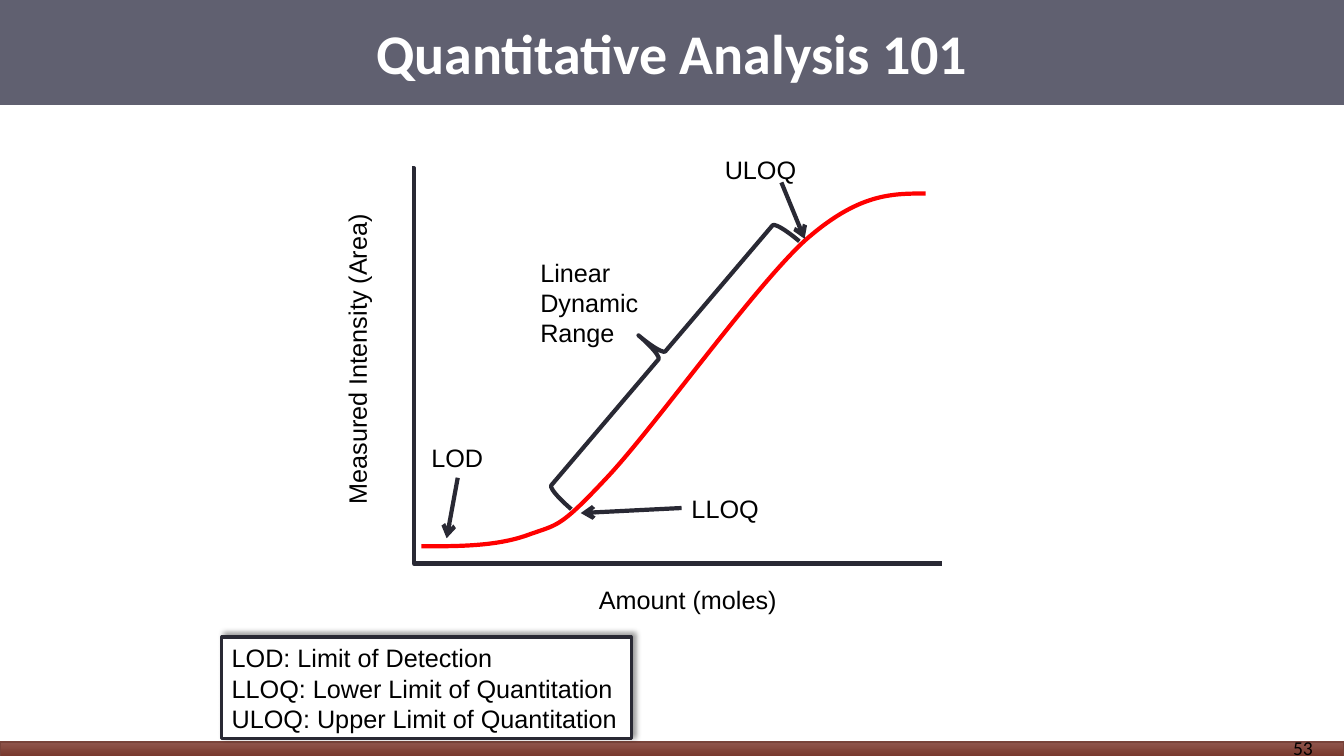
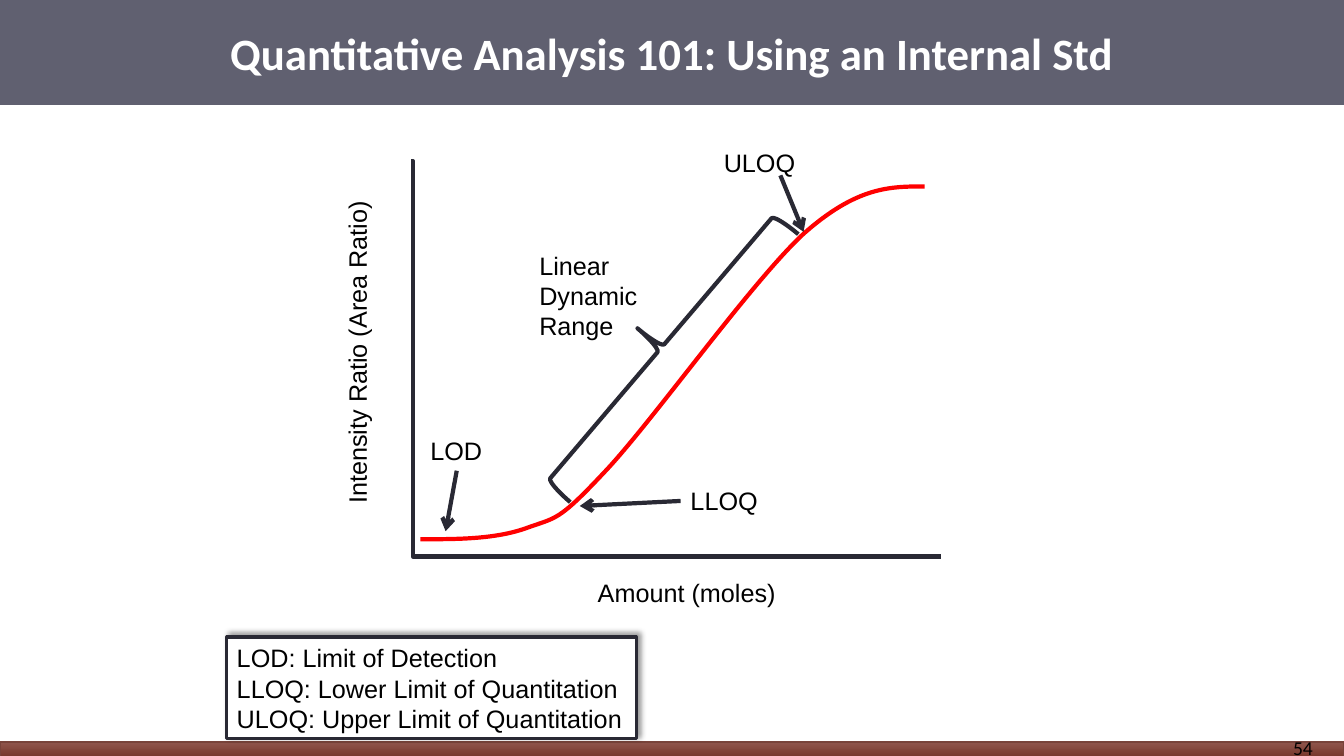
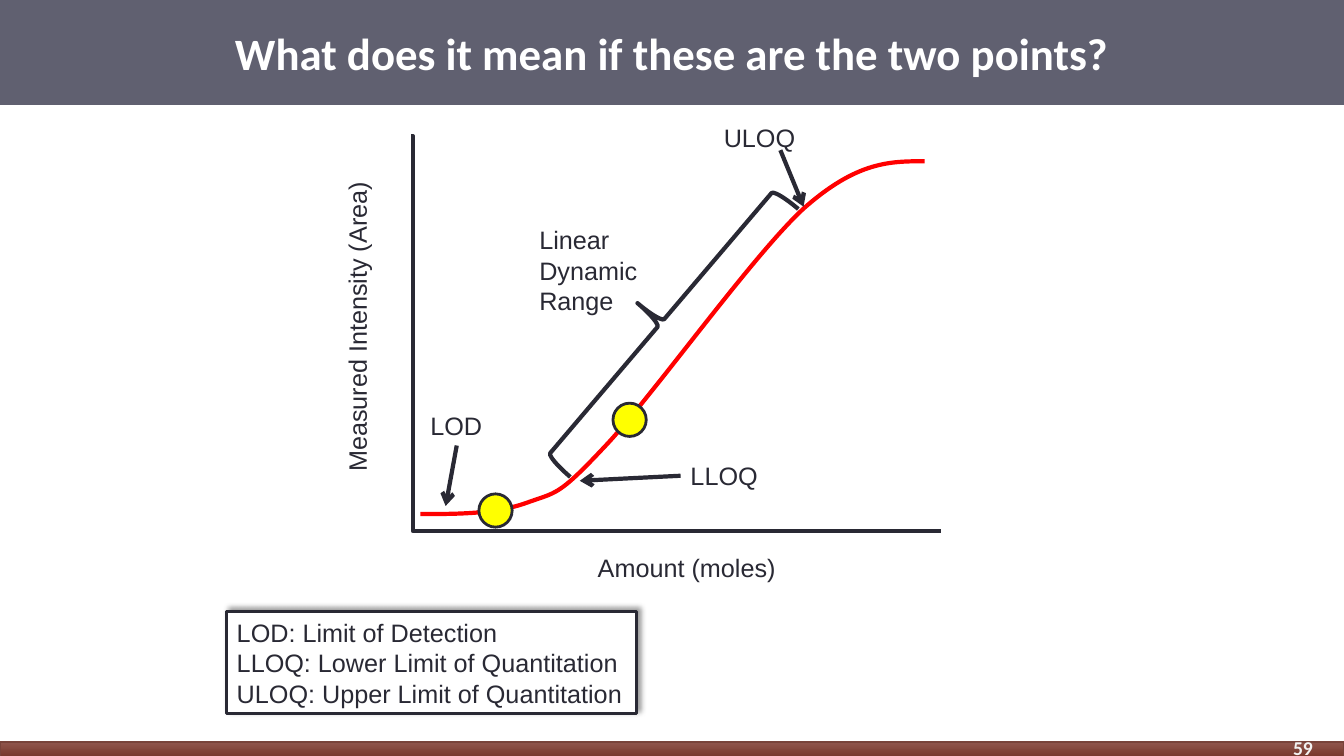
from lxml.etree import SubElement
from pptx import Presentation
from pptx.dml.color import RGBColor
from pptx.enum.shapes import MSO_CONNECTOR, MSO_SHAPE
from pptx.enum.text import MSO_ANCHOR, MSO_AUTO_SIZE, PP_ALIGN
from pptx.oxml.ns import qn
from pptx.util import Inches, Pt

rgb = RGBColor.from_string
WHITE, BLACK, INK, RED, YELLOW = "FFFFFF", "000000", "292934", "FF0000", "FFFF00"


def style(sp, fill, line, width):
    if fill:
        sp.fill.solid()
        sp.fill.fore_color.rgb = rgb(fill)
    else:
        sp.fill.background()
    if line:
        sp.line.color.rgb = rgb(line)
        sp.line.width = Pt(width)
    else:
        sp.line.fill.background()
    sp.shadow.inherit = False


def write(tf, lines, size, color, font="Arial", bold=False, align=PP_ALIGN.LEFT):
    for i, line in enumerate(lines):
        p = tf.paragraphs[0] if i == 0 else tf.add_paragraph()
        p.text = line
        p.alignment = align
        p.font.size = Pt(size)
        p.font.name = font
        p.font.bold = bold
        p.font.color.rgb = rgb(color)


prs = Presentation()
prs.slide_width, prs.slide_height = Inches(13.33), Inches(7.5)
layout = prs.slide_layouts[5]

slides = [
    dict(title="Quantitative Analysis 101", size=40, number="53", number_color=BLACK,
         bold=False, text=BLACK, dx=0, dy=0, y_label="Measured Intensity (Area)",
         y_width=3.1, legend=(2.2, 6.32), points=[]),
    dict(title="Quantitative Analysis 101: Using an Internal Std", size=32, number="54",
         number_color=BLACK, bold=False, text=BLACK, dx=-0.01, dy=-0.07,
         y_label="Intensity Ratio (Area Ratio)", y_width=3.23, legend=(2.25, 6.32), points=[]),
    dict(title="What does it mean if these are the two points?", size=32, number="59",
         number_color="F2F2F2", bold=True, text=INK, dx=-0.01, dy=-0.32,
         y_label="Measured Intensity (Area)", y_width=3.1, legend=(2.25, 6.07),
         points=[(4.75, 4.9), (6.08, 4)]),
]
labels = [
    ("Amount (moles)", 5.84, 5.75, 1.98, 0.4),
    ("LOD", 4.18, 4.34, 0.72, 0.4),
    ("LLOQ", 6.76, 4.84, 0.88, 0.4),
    ("ULOQ", 7.09, 1.48, 0.92, 0.4),
    ("Linear Dynamic Range", 5.26, 2.5, 1.25, 1.01),
]
connectors = [
    (MSO_CONNECTOR.ELBOW, 4.09, 1.67, 9.34, 5.59),
    (MSO_CONNECTOR.STRAIGHT, 4.54, 4.74, 4.43, 5.34),
    (MSO_CONNECTOR.STRAIGHT, 6.76, 5.04, 5.76, 5.09),
    (MSO_CONNECTOR.STRAIGHT, 7.75, 1.81, 7.98, 2.37),
]
curve = [
    (4.18, 5.42), (4.55, 5.42), (4.92, 5.42), (5.23, 5.31),
    (5.53, 5.2), (5.54, 5.25), (6, 4.76),
    (6.46, 4.28), (7.46, 2.87), (7.98, 2.39),
    (8.51, 1.92), (8.84, 1.92), (9.18, 1.92),
]
legend_lines = [
    "LOD: Limit of Detection",
    "LLOQ: Lower Limit of Quantitation",
    "ULOQ: Upper Limit of Quantitation",
]

for n, d in enumerate(slides):
    s = prs.slides.add_slide(layout)
    dx, dy = d["dx"], d["dy"]

    if n == 0:
        header = s.shapes.add_shape(MSO_SHAPE.RECTANGLE, 0, 0, prs.slide_width, Inches(1.04))
        style(header, "454557", None, 0)
        color = header.element.spPr.find(qn("a:solidFill"))[0]
        SubElement(color, qn("a:alpha"), val="85000")
        footer = s.shapes.add_shape(MSO_SHAPE.RECTANGLE, 0, Inches(7.36),
                                    prs.slide_width, Inches(0.17))
        style(footer, None, "78433A", 1)
        footer.fill.gradient()
        footer.fill.gradient_angle = 90
        for stop, shade in zip(footer.fill.gradient_stops, ("743327", "8F554C")):
            stop.color.rgb = rgb(shade)
        for band in (footer, header):
            layout.element.cSld.spTree.insert(2, band.element)

    title = s.shapes.title
    title.left, title.top, title.width, title.height = 0, 0, prs.slide_width, Inches(1.04)
    title.text_frame.vertical_anchor = MSO_ANCHOR.MIDDLE
    write(title.text_frame, [d["title"]], d["size"], WHITE, "Calibri", True, PP_ALIGN.CENTER)

    number = s.shapes.add_textbox(Inches(12), Inches(7.22), Inches(1.12), Inches(0.39))
    number.text_frame.word_wrap = True
    number.text_frame.vertical_anchor = MSO_ANCHOR.MIDDLE
    write(number.text_frame, [d["number"]], 14, d["number_color"], "Calibri", d["bold"],
          PP_ALIGN.RIGHT)

    points = [(Inches(x + dx), Inches(y + dy)) for x, y in curve]
    builder = s.shapes.build_freeform(*points[0])
    builder.add_line_segments(points[1:], close=False)
    response = builder.convert_to_shape()
    style(response, None, RED, 3)
    outline = response.element.spPr.find(".//" + qn("a:path"))
    for i, segment in enumerate(outline.findall(qn("a:lnTo"))):
        if i % 3 == 0:
            bezier = SubElement(outline, qn("a:cubicBezTo"))
        bezier.append(segment[0])
        outline.remove(segment)

    for kind, x1, y1, x2, y2 in connectors:
        c = s.shapes.add_connector(kind, Inches(x1 + dx), Inches(y1 + dy),
                                   Inches(x2 + dx), Inches(y2 + dy))
        c.line.color.rgb = rgb(INK)
        c.line.width = Pt(3)
        spPr = c.element.spPr
        if kind == MSO_CONNECTOR.ELBOW:
            SubElement(spPr.find(".//" + qn("a:avLst")), qn("a:gd"), name="adj1", fmla="val 300")
        else:
            SubElement(spPr.find(qn("a:ln")), qn("a:tailEnd"), type="arrow")
        SubElement(spPr, qn("a:effectLst"))

    brace = s.shapes.add_shape(MSO_SHAPE.LEFT_BRACE, Inches(6.26 + dx), Inches(1.78 + dy),
                               Inches(0.61), Inches(3.49))
    brace.rotation = 40.4
    style(brace, None, INK, 3)

    y_label = (d["y_label"], 3.54 - dx - d["y_width"] / 2, 3.35, d["y_width"], 0.4)
    for text, x, y, w, h in labels + [y_label]:
        tb = s.shapes.add_textbox(Inches(x + dx), Inches(y + dy), Inches(w), Inches(h))
        tf = tb.text_frame
        tf.word_wrap = h > 0.4
        tf.auto_size = MSO_AUTO_SIZE.SHAPE_TO_FIT_TEXT
        write(tf, [text], 18, d["text"])
        if text == d["y_label"]:
            tb.rotation = 270

    x, y = d["legend"]
    legend = s.shapes.add_shape(MSO_SHAPE.RECTANGLE, Inches(x), Inches(y),
                                Inches(4.06), Inches(1.01))
    style(legend, WHITE, INK, 2.25)
    shadow = SubElement(legend.element.spPr.find(qn("a:effectLst")), qn("a:outerShdw"),
                        blurRad=str(Pt(4)), dist=str(Pt(3)), dir="18900000",
                        algn="bl", rotWithShape="0")
    color = SubElement(shadow, qn("a:srgbClr"), val=BLACK)
    SubElement(color, qn("a:alpha"), val="40000")
    legend.text_frame.word_wrap = False
    legend.text_frame.auto_size = MSO_AUTO_SIZE.SHAPE_TO_FIT_TEXT
    write(legend.text_frame, legend_lines, 18, d["text"])

    for x, y in d["points"]:
        dot = s.shapes.add_shape(MSO_SHAPE.OVAL, Inches(x), Inches(y), Inches(0.33), Inches(0.33))
        style(dot, YELLOW, INK, 2)

prs.save("out.pptx")
